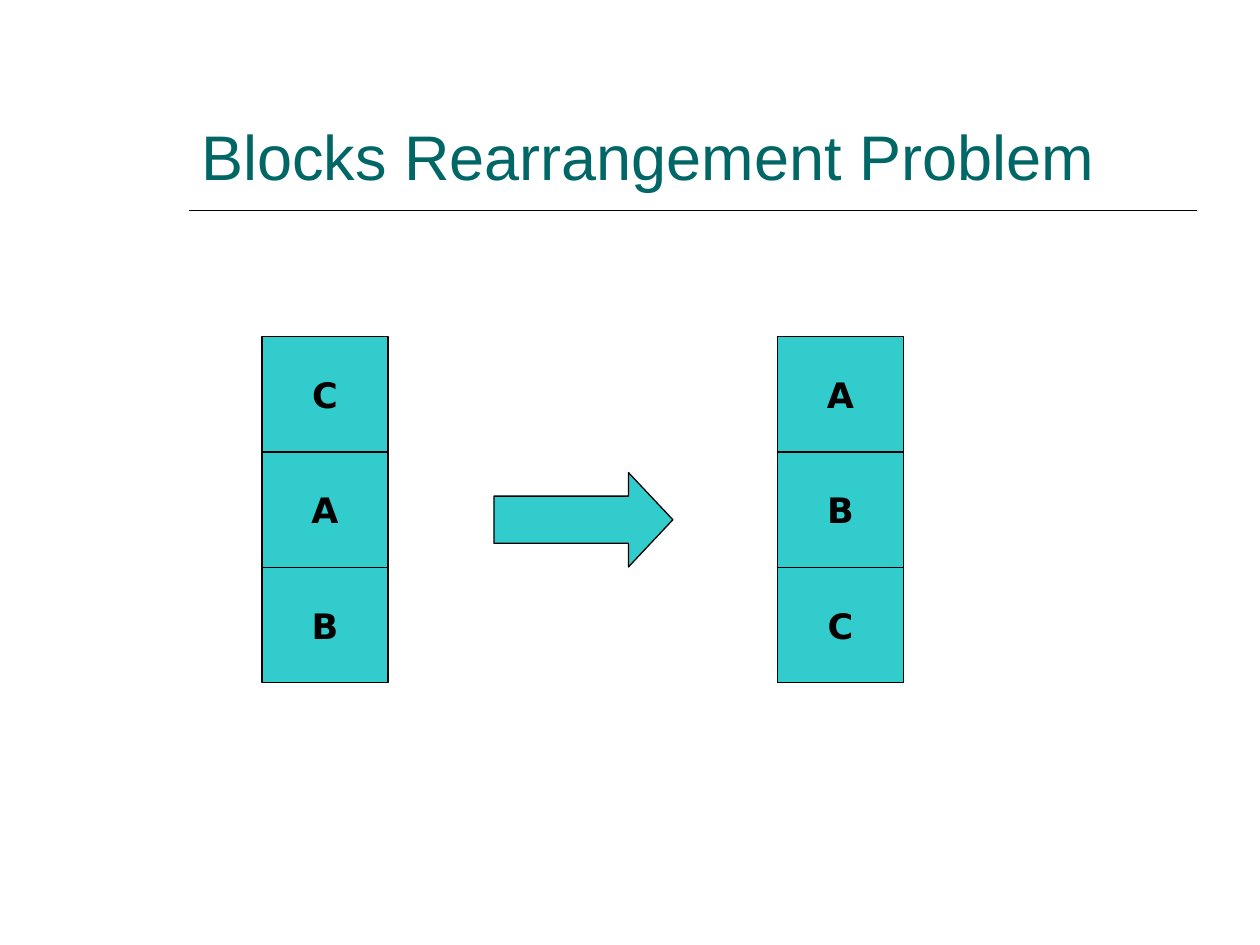
from lxml import etree
from pptx import Presentation
from pptx.dml.color import RGBColor
from pptx.enum.shapes import MSO_CONNECTOR as Connector, MSO_SHAPE as Shape
from pptx.enum.text import MSO_ANCHOR as Anchor, PP_ALIGN as Align
from pptx.oxml.ns import qn
from pptx.util import Inches, Pt


def color(value):
    return RGBColor.from_string(value)


class BlocksSlide:
    """Holds the style and the current slide, and draws each kind of element."""

    TEAL, AQUA, BLACK = "006666", "33CCCC", "000000"
    TITLE_FONT = {"name": "Arial", "size": Pt(36), "bold": False}
    BLOCK_FONT = {"name": "DejaVu Sans", "size": Pt(20), "bold": True}

    def __init__(self, presentation):
        self.slide = presentation.slides.add_slide(presentation.slide_layouts[6])

    def label(self, frame, text, font_values, font_color, anchor, align):
        frame.vertical_anchor = anchor
        paragraph = frame.paragraphs[0]
        paragraph.alignment = align
        run = paragraph.add_run()
        run.text = text
        for attribute, value in font_values.items():
            setattr(run.font, attribute, value)
        run.font.color.rgb = color(font_color)

    def title(self, text, left, top, width, height):
        heading = self.slide.shapes.add_textbox(*map(Inches, (left, top, width, height)))
        heading.text_frame.word_wrap = True
        self.label(heading.text_frame, text, self.TITLE_FONT, self.TEAL, Anchor.BOTTOM, Align.LEFT)

    def rule(self, left, right, y):
        underline = self.slide.shapes.add_connector(
            Connector.STRAIGHT, Inches(left), Inches(y), Inches(right), Inches(y))
        underline.line.color.rgb = color(self.BLACK)
        underline.line.width = Pt(1)
        etree.SubElement(underline._element.spPr, qn("a:effectLst"))

    def outlined(self, kind, left, top, width, height):
        figure = self.slide.shapes.add_shape(kind, *map(Inches, (left, top, width, height)))
        figure.shadow.inherit = False
        figure.fill.solid()
        figure.fill.fore_color.rgb = color(self.AQUA)
        figure.line.color.rgb = color(self.BLACK)
        figure.line.width = Pt(0.75)
        return figure

    def stack(self, letters, left, top, width, height):
        step = height / len(letters)
        for level, letter in enumerate(letters):
            block = self.outlined(Shape.RECTANGLE, left, top + level * step, width, step)
            block.text_frame.word_wrap = False
            self.label(block.text_frame, letter, self.BLOCK_FONT, self.BLACK, Anchor.MIDDLE, Align.CENTER)

    def arrow(self, left, top, width, height, head):
        move = self.outlined(Shape.RIGHT_ARROW, left, top, width, height)
        move.adjustments[0] = 0.5
        move.adjustments[1] = head


def main():
    presentation = Presentation()
    presentation.slide_width = Inches(10)
    presentation.slide_height = Inches(7.5)

    problem = BlocksSlide(presentation)
    problem.rule(1.5, 9.5, 1.67)
    problem.title("Blocks Rearrangement Problem", 1.5, 0.33, 8, 1.25)
    for letters, left in (("CAB", 2.08), ("ABC", 6.17)):
        problem.stack(letters, left, 2.67, 1, 2.75)
    problem.arrow(3.92, 3.75, 1.42, 0.75, 0.47)

    presentation.save("out.pptx")


if __name__ == "__main__":
    main()
